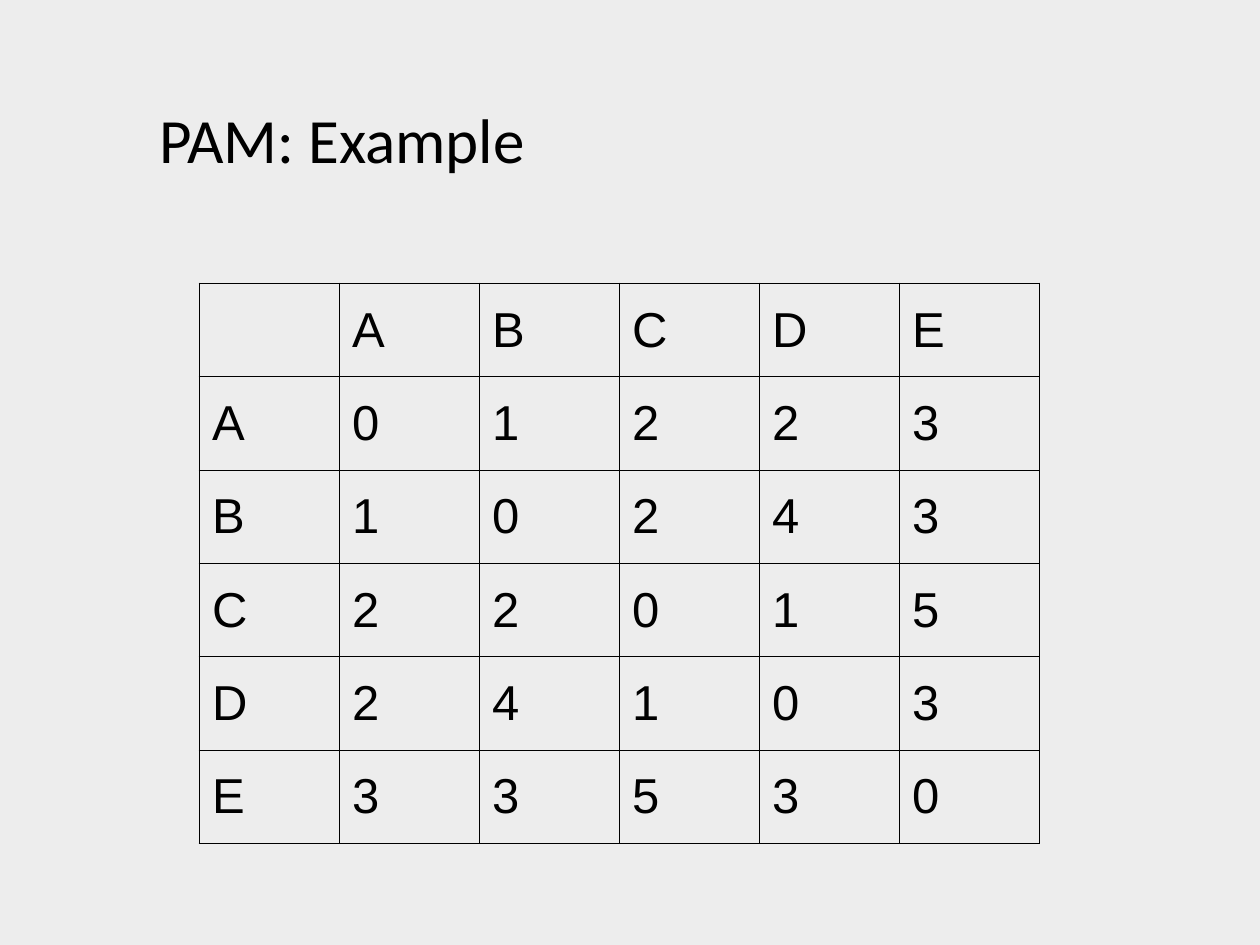
from dataclasses import dataclass

from lxml import etree
from pptx import Presentation
from pptx.dml.color import RGBColor
from pptx.enum import text as t
from pptx.oxml import ns
from pptx.util import Inches, Pt

WIDTH, HEIGHT = Inches(10), Inches(7.5)
INK, PAPER = "000000", "EDEDED"
OUTER, INNER = 1.08, 0.45
LABELS = "ABCDE"
DISTANCES = ("01223", "10243", "22015", "24103", "33530")


@dataclass(frozen=True)
class Area:
    left: float
    top: float
    width: float
    height: float

    def lengths(self) -> tuple[int, int, int, int]:
        return (
            round(self.left * WIDTH),
            round(self.top * HEIGHT),
            round(self.width * WIDTH),
            round(self.height * HEIGHT),
        )


HEADING = Area(7 / 60, 0.1, 23 / 30, 0.09)
MATRIX = Area(19 / 120, 0.3, 2 / 3, 16 / 27)


def colour(value: str) -> RGBColor:
    return RGBColor.from_string(value)


def write(frame, words: str, *, font: str, size: float, ink: str = INK) -> None:
    paragraph = frame.paragraphs[0]
    paragraph.alignment = t.PP_ALIGN.LEFT
    run = paragraph.add_run()
    run.text = words
    run.font.name = font
    run.font.size = Pt(size)
    run.font.bold = False
    run.font.color.rgb = colour(ink)


def draw_border(cell, side: str, points: float) -> None:
    properties = cell._tc.get_or_add_tcPr()
    line = etree.SubElement(properties, ns.qn(f"a:ln{side}"), w=str(Pt(points)))
    fill = etree.SubElement(line, ns.qn("a:solidFill"))
    etree.SubElement(fill, ns.qn("a:srgbClr"), val=INK)


def draw_heading(slide, area: Area, words: str) -> None:
    heading = slide.shapes.add_textbox(*area.lengths())
    heading.text_frame.word_wrap = True
    write(heading.text_frame, words, font="Calibri", size=36)


def draw_matrix(slide, area: Area, rows: list[list[str]]) -> None:
    count = len(rows)
    last = count - 1
    matrix = slide.shapes.add_table(count, count, *area.lengths()).table
    matrix.first_row = False
    matrix.horz_banding = False
    for r, row in enumerate(rows):
        for c, entry in enumerate(row):
            cell = matrix.cell(r, c)
            cell.vertical_anchor = t.MSO_ANCHOR.MIDDLE
            edges = {"L": c == 0, "R": c == last, "T": r == 0, "B": r == last}
            for side, outside in edges.items():
                draw_border(cell, side, OUTER if outside else INNER)
            cell.fill.background()
            if entry:
                write(cell.text_frame, entry, font="Arial", size=28)


def main() -> None:
    deck = Presentation()
    deck.slide_width, deck.slide_height = WIDTH, HEIGHT
    slide = deck.slides.add_slide(deck.slide_layouts[6])
    slide.background.fill.solid()
    slide.background.fill.fore_color.rgb = colour(PAPER)
    draw_heading(slide, HEADING, "PAM: Example")
    body = [[label, *values] for label, values in zip(LABELS, DISTANCES)]
    draw_matrix(slide, MATRIX, [["", *LABELS], *body])
    deck.save("out.pptx")


if __name__ == "__main__":
    main()
